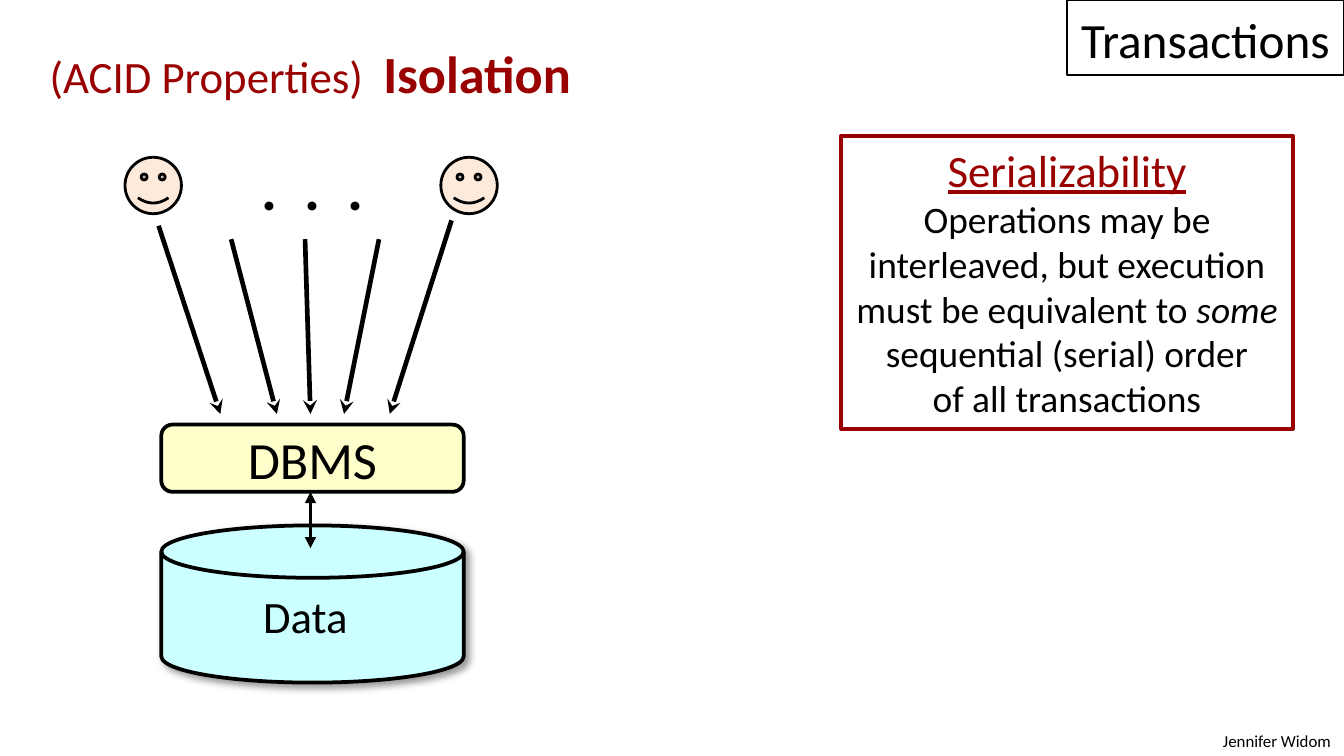
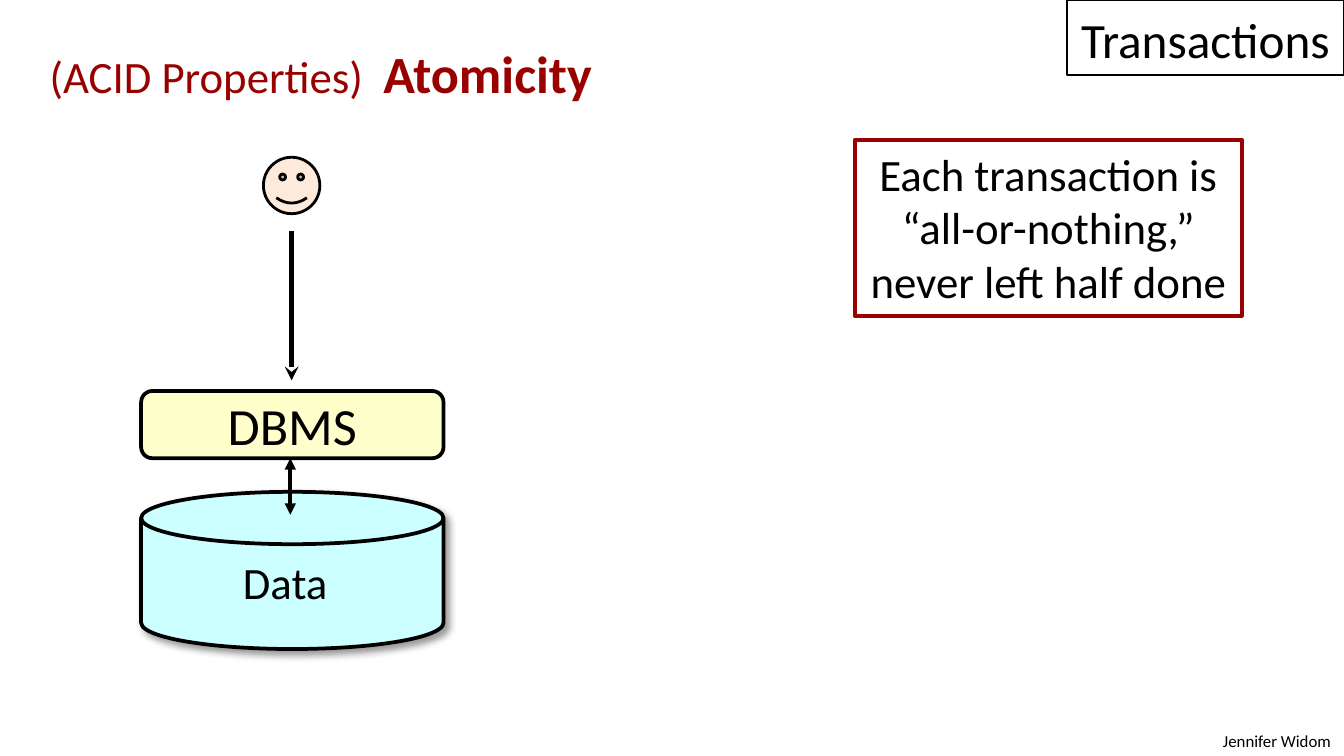
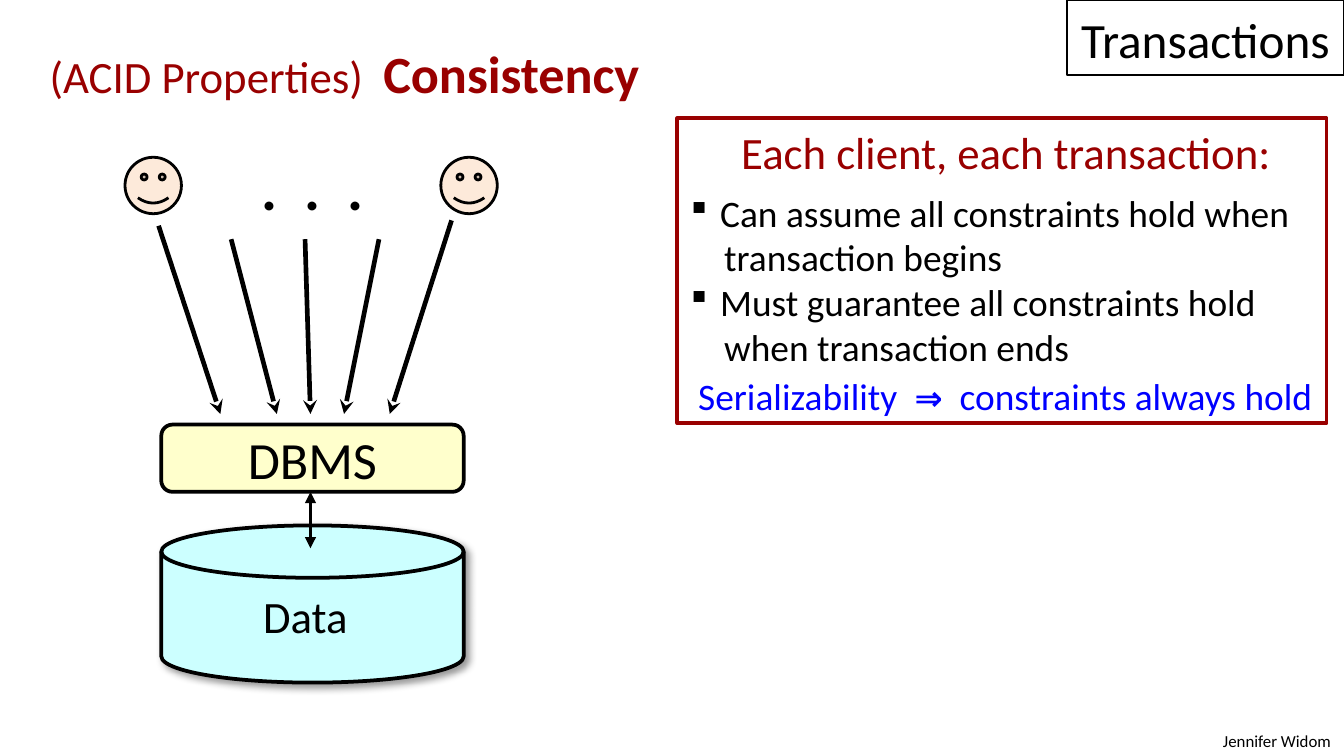
from lxml import etree
from pptx import Presentation, util as u
from pptx.dml.color import RGBColor
from pptx.enum import shapes, text
from pptx.oxml.ns import qn

FONT = "Calibri"
BLACK, RED, BLUE = "000000", "990000", "0000FF"
SKIN, YELLOW, CYAN = "FDEADA", "FFFFCC", "CCFFFF"
KIND, ALIGN = shapes.MSO_SHAPE, text.PP_ALIGN
TOP, MIDDLE, BOTTOM = text.MSO_ANCHOR.TOP, text.MSO_ANCHOR.MIDDLE, text.MSO_ANCHOR.BOTTOM

ONE_CLIENT = {
    "dbms": (1.05, 2.91),
    "faces": [1.96],
    "arrows": [(2.17, 1.72, 2.17, 2.83)],
}
MANY_CLIENTS = {
    "dbms": (1.2, 3.16),
    "faces": [0.93, 3.28],
    "arrows": [(1.18, 1.68, 1.64, 3.08), (1.72, 1.78, 2.06, 3.08),
               (2.27, 1.78, 2.31, 3.08), (2.82, 1.78, 2.56, 3.08),
               (3.36, 1.64, 2.9, 3.08)],
}


def run(words, size=20, color=BLACK, **style):
    return words, size, color, style


def para(*runs, align=ALIGN.CENTER, **layout):
    return runs, align, layout


def point(words, **layout):
    return para(run(words), align=ALIGN.LEFT, left=0.22, first=-0.22, bullet="§", **layout)


def continued(words):
    return para(run(words), align=ALIGN.LEFT, left=0.25)


SLIDES = [
    {"property": "Isolation", "clients": MANY_CLIENTS, "box": (6.26, 1.01, 3.36, 2.18),
     "body": [
         para(run("Serializability", 24, RED, underline=True)),
         para(run("Operations may be")),
         para(run("interleaved, but execution")),
         para(run("must be equivalent to "), run("some", italic=True)),
         para(run("sequential (serial) order")),
         para(run("of all transactions"))]},
    {"property": "Atomicity", "clients": ONE_CLIENT, "box": (6.36, 1.04, 2.88, 1.31),
     "wrap": False,
     "body": [
         para(run("Each transaction is", 24)),
         para(run("“all-or-nothing,”", 24)),
         para(run("never left half done", 24))]},
    {"property": "Consistency", "clients": MANY_CLIENTS, "box": (5.04, 0.88, 4.83, 2.27),
     "body": [
         para(run("Each client, each transaction:", 24, RED), left=0.06),
         point("Can assume all constraints hold when", before=6),
         continued("transaction begins"),
         point("Must guarantee all constraints hold"),
         continued("when transaction ends")],
     "conclusion": para(run("Serializability  ", 20, BLUE), run("⇒", 18, BLUE, bold=True),
                        run("  constraints always hold", 20, BLUE))},
]


def rgb(color):
    return RGBColor.from_string(color)


def add_xml(parent, tag, **attrs):
    return etree.SubElement(parent, qn(tag), {k: str(v) for k, v in attrs.items()})


def write(sp, paras, anchor=TOP, wrap=True, grow=False):
    tf = sp.text_frame
    tf.word_wrap = wrap
    tf.vertical_anchor = anchor
    fit = text.MSO_AUTO_SIZE
    tf.auto_size = fit.SHAPE_TO_FIT_TEXT if grow else fit.NONE
    for i, (runs, align, layout) in enumerate(paras):
        p = tf.add_paragraph() if i else tf.paragraphs[0]
        p.alignment = align
        if "before" in layout:
            p.space_before = u.Pt(layout["before"])
        if "spacing" in layout:
            p.line_spacing = layout["spacing"]
        pPr = p._p.get_or_add_pPr()
        pPr.set("marL", str(u.Inches(layout.get("left", 0))))
        pPr.set("indent", str(u.Inches(layout.get("first", 0))))
        if "bullet" in layout:
            add_xml(pPr, "a:buFont", typeface="Wingdings", charset=2)
            add_xml(pPr, "a:buChar", char=layout["bullet"])
        for words, size, color, style in runs:
            r = p.add_run()
            r.text = words
            r.font.name, r.font.size = FONT, u.Pt(size)
            r.font.color.rgb = rgb(color)
            for name, value in style.items():
                setattr(r.font, name, value)


def add_text(s, at, paras, **frame):
    write(s.shapes.add_textbox(*map(u.Inches, at)), paras, **frame)


def add_shape(s, kind, at, fill=None, line=BLACK, width=2):
    sp = s.shapes.add_shape(kind, *map(u.Inches, at))
    sp.shadow.inherit = False
    if fill:
        sp.fill.solid()
        sp.fill.fore_color.rgb = rgb(fill)
    else:
        sp.fill.background()
    sp.line.color.rgb = rgb(line)
    sp.line.width = u.Pt(width)
    return sp


def add_arrow(s, ends, width, tail, head=None):
    cn = s.shapes.add_connector(shapes.MSO_CONNECTOR.STRAIGHT, *map(u.Inches, ends))
    cn.line.color.rgb = rgb(BLACK)
    cn.line.width = u.Pt(width)
    spPr = cn._element.spPr
    ln = spPr.find(qn("a:ln"))
    if head:
        add_xml(ln, "a:headEnd", type=head)
    add_xml(ln, "a:tailEnd", type=tail)
    add_xml(spPr, "a:effectLst")


def add_shadow(sp):
    effects = sp._element.spPr.find(qn("a:effectLst"))
    shadow = add_xml(effects, "a:outerShdw", blurRad=u.Pt(4), dist=u.Pt(3),
                     dir=45 * 60000, algn="tl", rotWithShape=0)
    add_xml(add_xml(shadow, "a:srgbClr", val=BLACK), "a:alpha", val=40000)


def add_frame(s, name):
    add_text(s, (8.92, 5.39, 1.08, 0.25),
             [para(run("Jennifer Widom", 9), align=ALIGN.RIGHT)], grow=True)
    topic = add_shape(s, KIND.RECTANGLE, (7.94, 0, 2.06, 0.56), width=0.75)
    write(topic, [para(run("Transactions", 26.4))], anchor=BOTTOM)
    title = para(run("(ACID Properties)  ", 24, RED), run(name, 28, RED, bold=True),
                 align=ALIGN.LEFT, left=0.3, first=-0.2, spacing=0.9)
    add_text(s, (0.17, 0.31, 8.82, 4.98), [title])


def add_database(s, clients):
    x, y = clients["dbms"]
    add_shadow(add_shape(s, KIND.FLOWCHART_MAGNETIC_DISK, (x, y + 0.75, 2.25, 1.17), CYAN))
    dbms = add_shape(s, KIND.ROUNDED_RECTANGLE, (x, y, 2.25, 0.5), YELLOW)
    write(dbms, [para(run("DBMS", 28))], anchor=MIDDLE)
    middle = x + 1.11
    add_arrow(s, (middle, y + 0.5, middle, y + 0.92), 2, "triangle", head="triangle")
    for ends in clients["arrows"]:
        add_arrow(s, ends, 2.5, "stealth")
    for left in clients["faces"]:
        add_shape(s, KIND.SMILEY_FACE, (left, 1.17, 0.42, 0.42), SKIN, width=1.5)
    add_text(s, (x + 0.66, y + 1.17, 0.84, 0.5),
             [para(run("Data", 24), align=ALIGN.LEFT)], wrap=False, grow=True)
    if len(clients["faces"]) > 1:
        add_text(s, (1.85, 1.07, 0.97, 0.64),
                 [para(run(".  .  .", 32, bold=True), align=ALIGN.LEFT)],
                 wrap=False, grow=True)


def main():
    """Build the three slides on ACID properties."""
    prs = Presentation()
    prs.slide_width = u.Inches(10)
    prs.slide_height = prs.slide_width * 9 // 16
    for slide in SLIDES:
        s = prs.slides.add_slide(prs.slide_layouts[6])
        add_frame(s, slide["property"])
        add_database(s, slide["clients"])
        box = add_shape(s, KIND.RECTANGLE, slide["box"], line=RED)
        write(box, slide["body"], wrap=slide.get("wrap", True), grow=True)
        if "conclusion" in slide:
            add_text(s, (4.96, 2.73, 5.04, 0.44), [slide["conclusion"]], grow=True)
    prs.save("out.pptx")


if __name__ == "__main__":
    main()
